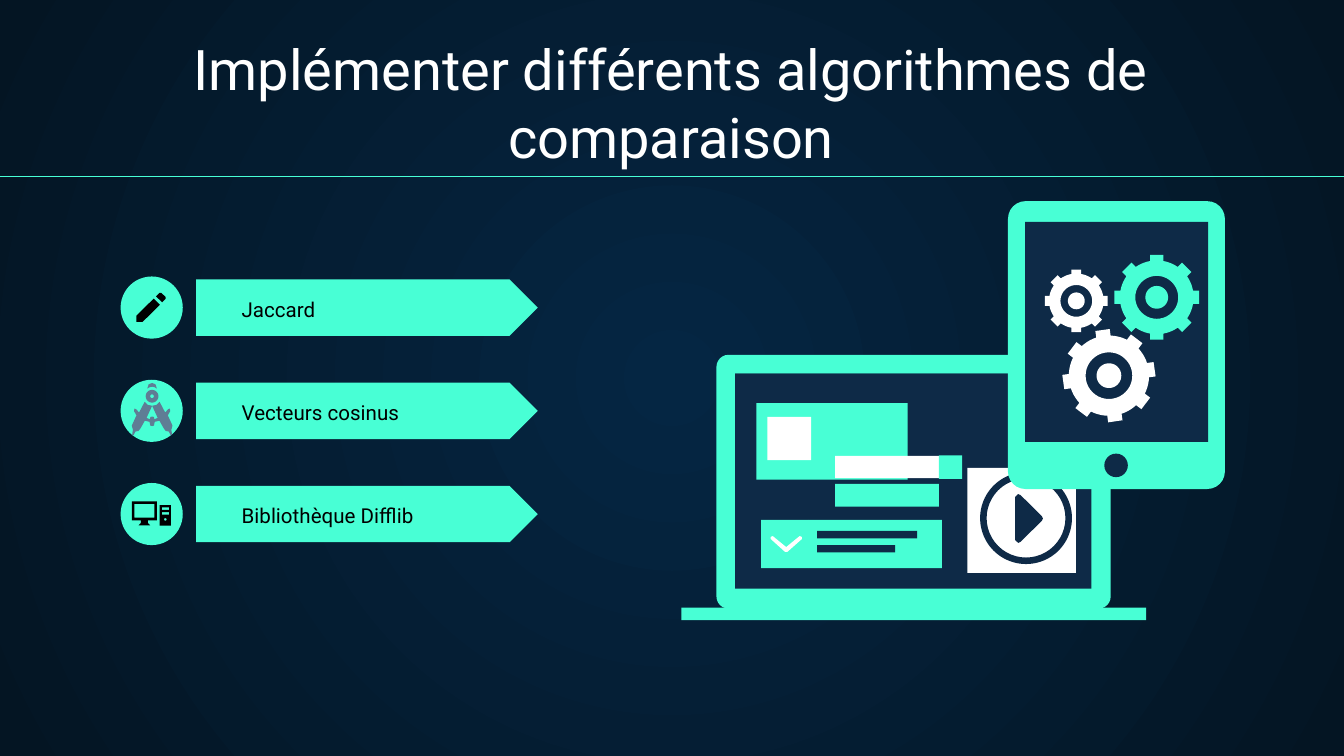
import math
import pptx
import pptx.util
import pptx.dml.color
import pptx.enum.shapes
import pptx.enum.text
import pptx.oxml
import pptx.oxml.ns

Pt = pptx.util.Pt
KIND = pptx.enum.shapes.MSO_SHAPE
ALIGN = pptx.enum.text.PP_ALIGN

# Content: colours, wording and drawing data (lengths in points)
COLORS = {"mint": "48FFD5", "navy": "0E2A47", "white": "FFFFFF", "black": "000000",
          "steel": "5F7D95", "glow": "052643", "night": "041523"}
TITLE = "Implémenter différents algorithmes de comparaison"
LABELS = ["Jaccard", "Vecteurs cosinus", "Bibliothèque Difflib"]
ROW_TOP, ROW_STEP, ROW_HEIGHT, BADGE = 149.7, 55.3, 30.2, 33.3

# Preset shapes: kind, (left, top, width, height), colour, adjustment in points
LAPTOP = [
    (KIND.ROUNDED_RECTANGLE, (383.8, 190.1, 211.2, 136), "mint", 6.5),
    (KIND.RECTANGLE, (393.8, 200.2, 191, 115.2), "navy", None),
    (KIND.RECTANGLE, (365, 325.6, 249.1, 6.6), "mint", None),
    (KIND.RECTANGLE, (393.8, 200.2, 191, 10.8), "navy", None),
    (KIND.RECTANGLE, (405.2, 216, 81, 41), "mint", None),
    (KIND.RECTANGLE, (411.1, 223.3, 23.4, 23.2), "white", None),
    (KIND.RECTANGLE, (433.4, 278.6, 71.2, 25.8), "mint", None),
    (KIND.RECTANGLE, (437.8, 284.4, 53.5, 4), "navy", None),
    (KIND.RECTANGLE, (437.8, 292, 41.7, 4), "navy", None),
    (KIND.RECTANGLE, (407.8, 278.6, 25.6, 25.8), "mint", None),
    (KIND.RECTANGLE, (447.4, 259.3, 55.6, 12.2), "mint", None),
    (KIND.RECTANGLE, (447.4, 244.2, 55.6, 12), "white", None),
    (KIND.RECTANGLE, (503, 244, 12.4, 12.6), "mint", None),
    (KIND.RECTANGLE, (518.2, 250.7, 58.2, 56.2), "white", None),
    (KIND.DONUT, (525.1, 253, 49.2, 49.2), "navy", 3.5),
]
TABLET = [
    (KIND.ROUNDED_RECTANGLE, (540, 107.8, 116.2, 154.2), "mint", 9.4),
    (KIND.RECTANGLE, (549.2, 118.8, 98, 118), "navy", None),
    (KIND.OVAL, (591.6, 243, 12.6, 12.6), "navy", None),
]
# Gears: centre x, centre y, radius, rotation in degrees, colour
GEARS = [(619.7, 159.3, 23, 0, "mint"), (576.6, 161.2, 17, 0, "white"),
         (594.1, 201.3, 25, -8, "white")]

CHEVRON = [(428.4, 287.2), (429.6, 287.7), (429.6, 288.8), (421.8, 295.7), (420.6, 295.7),
           (412.9, 288.8), (412.9, 287.7), (414, 287.2), (421.2, 293.1)]
PLAY = [(545.5, 264.7), (546.8, 265.3), (558.2, 276.6), (558.7, 277.8), (558.2, 279),
        (546.8, 290.3), (545.5, 290.9), (543.8, 289.3), (543.8, 266.4)]
PENCIL = [
    [(82.4, 160), (73.1, 169.2), (73.1, 172.5), (76.4, 172.5), (85.7, 163.3)],
    [(83.6, 158.8), (85.4, 157), (86.4, 156.9), (88.7, 159.1), (88.7, 160.2), (86.9, 162)],
]
MONITOR = [(70.7, 268.6), (84, 268.6), (84, 278.8), (79.2, 278.8), (79.2, 280.1),
           (80.4, 281.4), (74.3, 281.4), (75.5, 280.1), (75.5, 278.8), (70.7, 278.8)]
# Compass: right halves as (offset from axis, y)
AXIS = 81.5
CAP = [(0, 205.2), (1.8, 205.9), (2.6, 208.2), (1.4, 207.5), (0, 207.2)]
LEGS = [(0, 217.4), (2.4, 216.9), (4, 215.3), (7, 221), (8.6, 219.2), (9.5, 218.9),
        (9.7, 220.3), (8.4, 222.5), (10.9, 228), (10.3, 230.3), (10.7, 232.8),
        (10, 233.3), (8.9, 231.2), (7.3, 230.9), (6.2, 229.5), (3.9, 225.4),
        (1.4, 226), (1, 228), (0, 228.3)]
LEG_GAP = [(0, 217.4), (3, 223.9), (1.2, 224.6), (0.9, 223.4), (0, 223.2)]


def rgb(name):
    return pptx.dml.color.RGBColor.from_string(COLORS[name])


def paint(sp, color):
    sp.shadow.inherit = False
    sp.fill.solid()
    sp.fill.fore_color.rgb = rgb(color)
    sp.line.fill.background()
    return sp


def preset(kind, box, color, adjust=None):
    sp = paint(s.shapes.add_shape(kind, *map(Pt, box)), color)
    if adjust is not None:
        sp.adjustments[0] = adjust / min(box[2:])
    return sp


def outline(contours, color):
    """One filled shape; inner contours cut holes."""
    scaled = [[(x * 100, y * 100) for x, y in c] for c in contours]
    fb = s.shapes.build_freeform(*scaled[0][0], scale=Pt(1) / 100)
    for i, points in enumerate(scaled):
        if i:
            fb.move_to(*points[0])
        fb.add_line_segments(points[1:], close=True)
    return paint(fb.convert_to_shape(), color)


def polar(cx, cy, r, angle):
    return cx + r * math.cos(angle), cy + r * math.sin(angle)


def circle(cx, cy, r, steps=40):
    return [polar(cx, cy, r, 2 * math.pi * i / steps) for i in range(steps)]


def box_points(left, top, right, bottom):
    return [(left, top), (right, top), (right, bottom), (left, bottom)]


def mirrored(half):
    return [(AXIS + x, y) for x, y in half] + [(AXIS - x, y) for x, y in half[::-1]]


def gear(cx, cy, r, rotation, color):
    body, half = r * 0.86, r * 0.155
    root, tip = math.asin(half / body), math.asin(half / r)
    rim = []
    for tooth in range(8):
        a = math.radians(rotation + 45 * tooth)
        rim += [polar(cx, cy, rad, a + d) for rad, d in
                ((body, -root), (r, -tip), (r, tip), (body, root))]
        gap = math.pi / 4 - 2 * root
        rim += [polar(cx, cy, body, a + root + gap * k / 5) for k in range(1, 5)]
    outline([rim, circle(cx, cy, r * 0.5), circle(cx, cy, r * 0.265)], color)


def write(sp, box, text, size, color, align):
    sp.left, sp.top, sp.width, sp.height = map(Pt, box)
    tf = sp.text_frame
    tf.text = text
    tf.word_wrap = True
    tf.auto_size = pptx.enum.text.MSO_AUTO_SIZE.NONE
    tf.vertical_anchor = pptx.enum.text.MSO_ANCHOR.BOTTOM
    tf.margin_left = tf.margin_right = tf.margin_top = tf.margin_bottom = Pt(7.2)
    p = tf.paragraphs[0]
    p.alignment = align
    font = p.runs[0].font
    font.name, font.size, font.color.rgb = "Roboto", Pt(size), rgb(color)


prs = pptx.Presentation()
prs.slide_width, prs.slide_height = Pt(720), Pt(405)
s = prs.slides.add_slide(prs.slide_layouts[5])

# Background: radial gradient from the centre
fill = s.background.fill
fill.gradient()
for stop, name, position in zip(fill.gradient_stops, ("glow", "night"), (0, 1)):
    stop.color.rgb, stop.position = rgb(name), position
grad = s.element.find(".//" + pptx.oxml.ns.qn("a:gradFill"))
grad.remove(grad.find(pptx.oxml.ns.qn("a:lin")))
grad.append(pptx.oxml.parse_xml(
    f'<a:path {pptx.oxml.ns.nsdecls("a")} path="circle">'
    '<a:fillToRect l="50000" t="50000" r="50000" b="50000"/></a:path>'))

# Title and rule
write(s.shapes.title, (12.2, 50.4, 694.8, 47.5), TITLE, 30, "white", ALIGN.CENTER)
rule = s.shapes.add_connector(pptx.enum.shapes.MSO_CONNECTOR.STRAIGHT,
                              Pt(0), Pt(94.5), Pt(720), Pt(94.5))
rule.line.color.rgb, rule.line.width = rgb("mint"), Pt(0.75)
rule._element.spPr.append(pptx.oxml.parse_xml(
    f'<a:effectLst {pptx.oxml.ns.nsdecls("a")}/>'))

# Algorithm rows: arrow, label, badge
for i, label in enumerate(LABELS):
    top = ROW_TOP + i * ROW_STEP
    preset(KIND.PENTAGON, (105.1, top, 183, ROW_HEIGHT), "mint", ROW_HEIGHT / 2)
    write(s.shapes.add_textbox(0, 0, 0, 0), (122.4, top + 14.5, 163.4, 15.1),
          label, 11, "black", ALIGN.LEFT)
    preset(KIND.OVAL, (64.6, top + (ROW_HEIGHT - BADGE) / 2, BADGE, BADGE), "mint")

# Badge icons: pencil, compass, computer
outline(PENCIL, "black")
outline([circle(AXIS, 212.3, 3.4), circle(AXIS, 212.3, 1)], "steel")
outline([mirrored(LEGS), mirrored(LEG_GAP)], "steel")
outline([mirrored(CAP)], "steel")
outline([MONITOR, box_points(72, 270, 82.7, 277.3)], "black")
outline([box_points(85.6, 270.6, 91.6, 281.6), box_points(86.7, 271.8, 90.6, 273.2),
         box_points(86.7, 274.4, 90.6, 275.8), circle(88.6, 278.3, 0.7)], "black")

# Laptop, then the tablet in front of it
for part in LAPTOP:
    preset(*part)
outline([CHEVRON], "white")
outline([PLAY], "navy")
for part in TABLET:
    preset(*part)
for part in GEARS:
    gear(*part)

prs.save("out.pptx")
